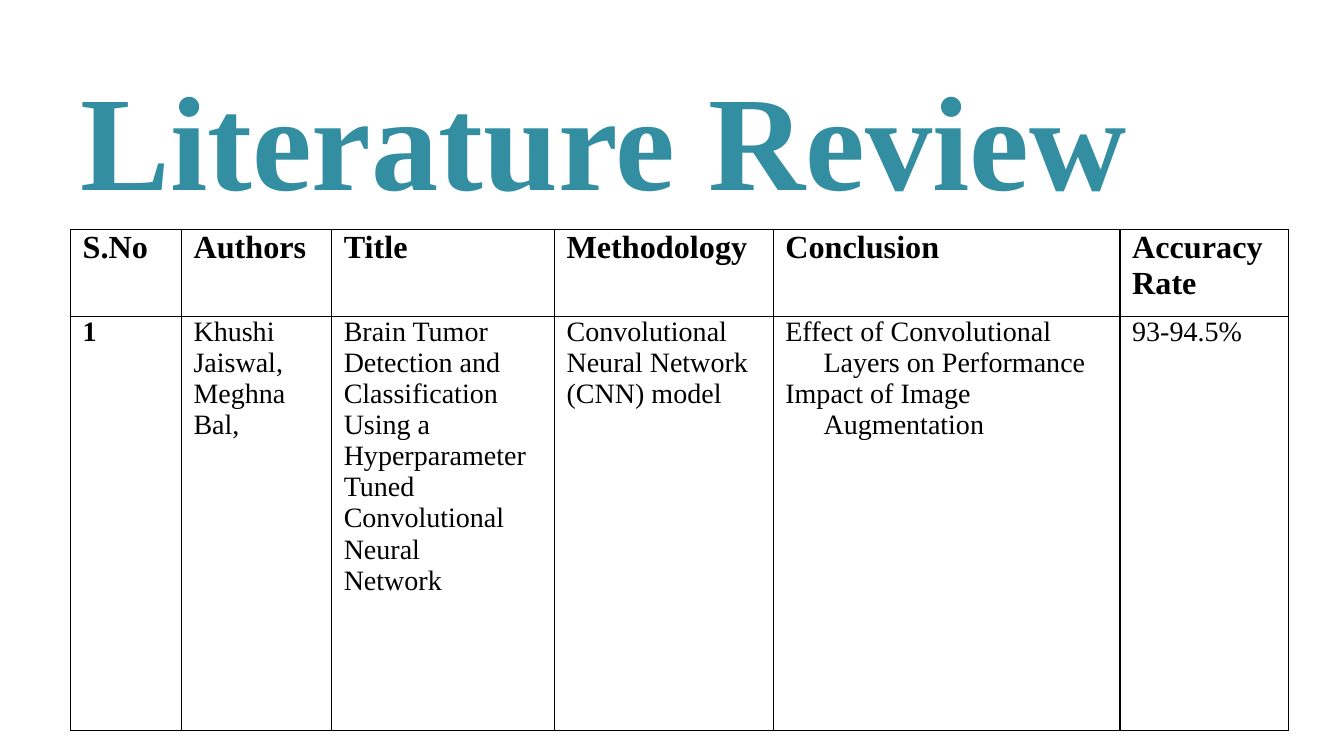
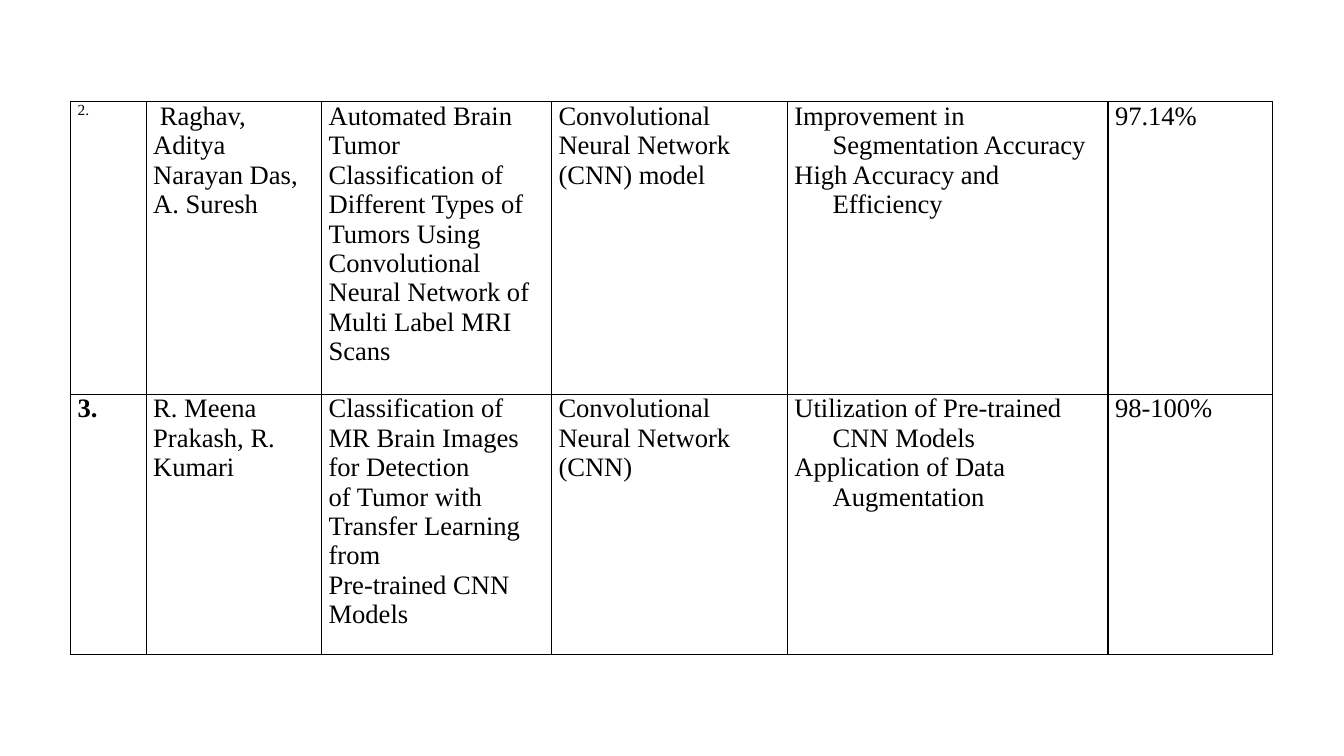
from dataclasses import dataclass

from lxml import etree
from pptx import Presentation
from pptx.dml.color import RGBColor
from pptx.enum.text import MSO_ANCHOR, MSO_AUTO_SIZE, PP_ALIGN
from pptx.oxml.ns import qn
from pptx.util import Inches, Pt

BOTTOM, LEFT, NO_FIT = MSO_ANCHOR.BOTTOM, PP_ALIGN.LEFT, MSO_AUTO_SIZE.NONE
TITLE_ONLY, BLANK = 5, 6

COLORS = {"title": "328EA0", "text": "000000", "border": "000000", "cell": "FFFFFF"}
FONT = "Times New Roman"
TABLE_LEFT = 0.7
HANGING = 0.38
CONCLUSION_COL = 4

TITLE = {"size": Pt(96), "bold": True}
HEADING = {"size": Pt(23), "bold": True}
BODY_20 = {"size": Pt(20), "bold": False}
BODY_19 = {"size": Pt(19), "bold": False}
SMALL = {"size": Pt(11), "bold": False}


@dataclass
class Row:
    height: float
    number_format: dict
    text_format: dict
    cells: list[str]
    hanging: bool = True


@dataclass
class ReviewTable:
    top: float
    inset: float
    col_widths: list[float]
    rows: list[Row]


FIRST_TABLE = ReviewTable(2.28, 0.12, [1.1, 1.49, 2.21, 2.17, 3.44, 1.67], [
    Row(0.86, HEADING, HEADING,
        ["S.No", "Authors", "Title", "Methodology", "Conclusion", "Accuracy Rate"],
        hanging=False),
    Row(4.11, BODY_20 | {"bold": True}, BODY_20, [
        "1",
        "Khushi Jaiswal,\nMeghna Bal,",
        "Brain Tumor Detection and Classification Using a\n"
        "Hyperparameter Tuned Convolutional Neural\nNetwork",
        "Convolutional Neural Network\n(CNN) model",
        "Effect of Convolutional Layers on Performance\nImpact of Image Augmentation",
        "93-94.5%",
    ]),
])

SECOND_TABLE = ReviewTable(1.01, 0.07, [0.75, 1.74, 2.28, 2.34, 3.18, 1.63], [
    Row(2.9, SMALL, BODY_19, [
        "2.",
        " Raghav, Aditya Narayan Das, A. Suresh",
        "Automated Brain Tumor Classification of\n"
        "Different Types of Tumors Using Convolutional\n"
        "Neural Network of Multi Label MRI Scans",
        "Convolutional Neural Network\n(CNN) model",
        "Improvement in Segmentation Accuracy\nHigh Accuracy and Efficiency",
        "97.14%",
    ]),
    Row(2.58, BODY_19 | {"bold": True}, BODY_19, [
        "3.",
        "R. Meena Prakash, R. Kumari",
        "Classification of MR Brain Images for Detection\n"
        "of Tumor with Transfer Learning from\nPre-trained CNN Models",
        "Convolutional Neural Network (CNN)",
        "Utilization of Pre-trained CNN Models\nApplication of Data Augmentation",
        "98-100%",
    ]),
])


def format_font(font, values: dict, color: str) -> None:
    for name, value in values.items():
        setattr(font, name, value)
    font.name = FONT
    font.color.rgb = RGBColor.from_string(COLORS[color])


def add_borders(cell) -> None:
    tc_pr = cell._tc.get_or_add_tcPr()
    for side in ("lnL", "lnR", "lnT", "lnB"):
        ln = etree.SubElement(tc_pr, qn(f"a:{side}"), w=str(Pt(1)))
        fill = etree.SubElement(ln, qn("a:solidFill"))
        etree.SubElement(fill, qn("a:srgbClr"), val=COLORS["border"])


def fill_cell(cell, text: str, values: dict, inset: float, hanging: bool) -> None:
    add_borders(cell)
    cell.fill.solid()
    cell.fill.fore_color.rgb = RGBColor.from_string(COLORS["cell"])
    cell.margin_left = cell.margin_right = Inches(inset)
    cell.margin_top = cell.margin_bottom = Inches(0)
    tf = cell.text_frame
    tf.text = text
    for p in tf.paragraphs:
        if hanging:
            p_pr = p._p.get_or_add_pPr()
            p_pr.set("marL", str(Inches(HANGING)))
            p_pr.set("indent", str(-Inches(HANGING)))
        for r in p.runs:
            format_font(r.font, values, "text")


def add_review_table(s, review: ReviewTable) -> None:
    width = sum(review.col_widths)
    height = sum(row.height for row in review.rows)
    table = s.shapes.add_table(
        len(review.rows), len(review.col_widths),
        Inches(TABLE_LEFT), Inches(review.top), Inches(width), Inches(height)).table
    table.first_row = table.horz_banding = False
    for column, col_width in zip(table.columns, review.col_widths):
        column.width = Inches(col_width)
    for i, row in enumerate(review.rows):
        table.rows[i].height = Inches(row.height)
        for j, text in enumerate(row.cells):
            values = row.text_format if j else row.number_format
            hanging = row.hanging and j == CONCLUSION_COL
            fill_cell(table.cell(i, j), text, values, review.inset, hanging)


def set_title(s, text: str) -> None:
    sp = s.shapes.title
    sp.left, sp.top = Inches(TABLE_LEFT), Inches(0.48)
    sp.width, sp.height = Inches(11.41), Inches(1.78)
    tf = sp.text_frame
    tf.text = text
    tf.word_wrap = True
    tf.auto_size = NO_FIT
    tf.vertical_anchor = BOTTOM
    tf.margin_bottom = Inches(0.1)
    p = tf.paragraphs[0]
    p.alignment = LEFT
    format_font(p.runs[0].font, TITLE, "title")


def main() -> None:
    prs = Presentation()
    prs.slide_width, prs.slide_height = Inches(13.33), Inches(7.5)
    s = prs.slides.add_slide(prs.slide_layouts[TITLE_ONLY])
    set_title(s, "Literature Review")
    add_review_table(s, FIRST_TABLE)
    s = prs.slides.add_slide(prs.slide_layouts[BLANK])
    add_review_table(s, SECOND_TABLE)
    prs.save("out.pptx")


if __name__ == "__main__":
    main()
